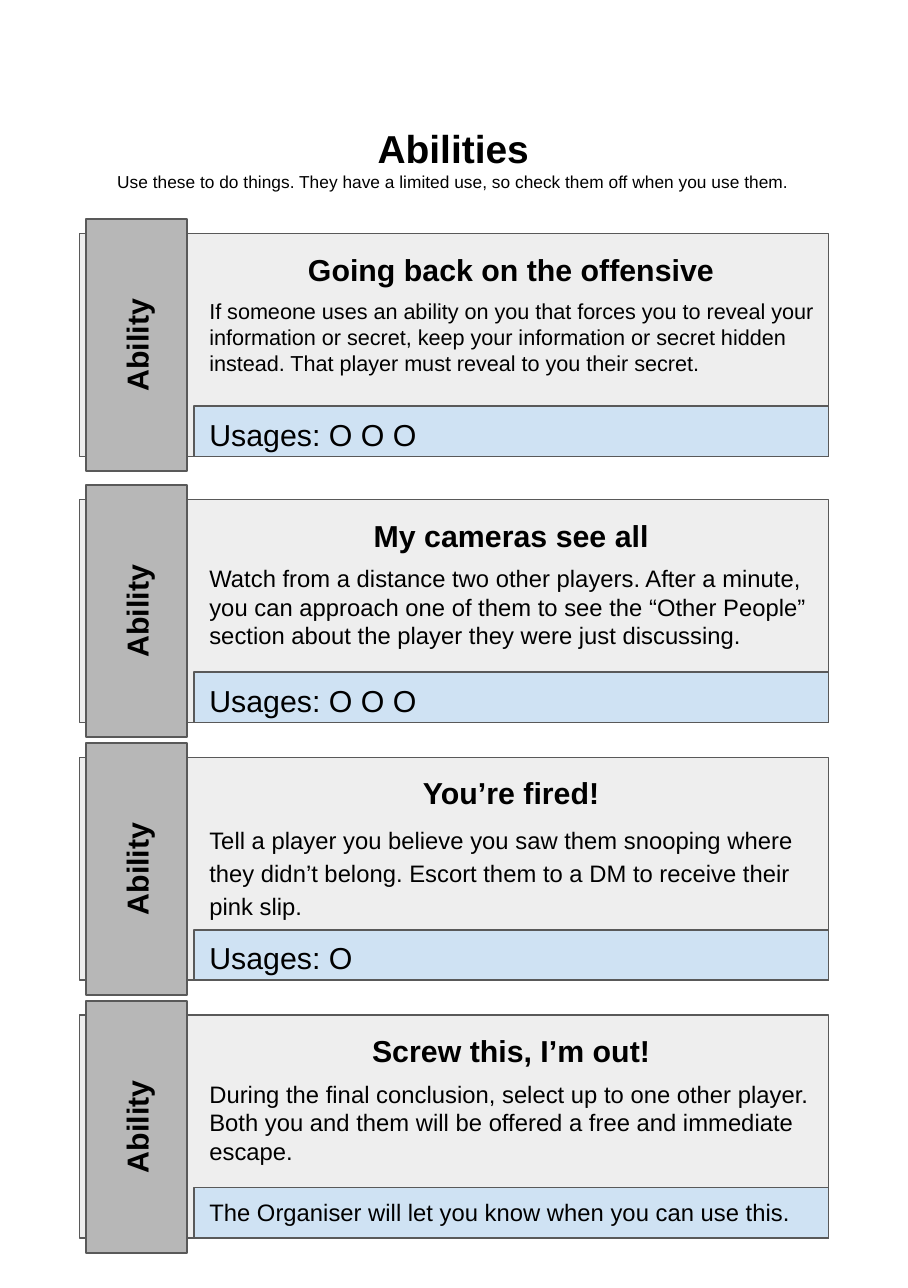
from collections import namedtuple

from pptx import Presentation
from pptx.dml.color import RGBColor
from pptx.enum.shapes import MSO_SHAPE
from pptx.enum.text import MSO_ANCHOR, MSO_AUTO_SIZE, PP_ALIGN
from pptx.util import Pt

BLACK = RGBColor(0x00, 0x00, 0x00)
OUTLINE = RGBColor(0x59, 0x59, 0x59)
CARD_FILL = RGBColor(0xEE, 0xEE, 0xEE)
TAB_FILL = RGBColor(0xB7, 0xB7, 0xB7)
USAGE_FILL = RGBColor(0xCF, 0xE2, 0xF3)
FONT = "Arial"
INSET = 7.2

Box = namedtuple("Box", "left top width height")
Ability = namedtuple(
    "Ability", "top heading body body_size usage usage_size spacing", defaults=(1.0,)
)

ABILITIES = [
    Ability(
        108,
        "Going back on the offensive",
        "If someone uses an ability on you that forces you to reveal your information "
        "or secret, keep your information or secret hidden instead. That player must "
        "reveal to you their secret.",
        10,
        "Usages: O O O",
        14,
    ),
    Ability(
        231,
        "My cameras see all",
        "Watch from a distance two other players. After a minute, you can approach one "
        "of them to see the “Other People” section about the player they were just "
        "discussing.",
        11,
        "Usages: O O O",
        14,
    ),
    Ability(
        350.2,
        "You’re fired!",
        "Tell a player you believe you saw them snooping where they didn’t belong. "
        "Escort them to a DM to receive their pink slip.",
        11,
        "Usages: O",
        14,
        1.15,
    ),
    Ability(
        469.4,
        "Screw this, I’m out!",
        "During the final conclusion, select up to one other player. Both you and them "
        "will be offered a free and immediate escape.",
        11,
        "The Organiser will let you know when you can use this.",
        11,
    ),
]


def prepare_frame(frame, anchor=MSO_ANCHOR.TOP):
    frame.word_wrap = True
    frame.auto_size = MSO_AUTO_SIZE.NONE
    frame.vertical_anchor = anchor
    frame.margin_left = frame.margin_right = Pt(INSET)
    frame.margin_top = frame.margin_bottom = Pt(INSET)


def write(paragraph, text, size, bold=False, align=PP_ALIGN.LEFT, spacing=1.0):
    paragraph.alignment = align
    paragraph.line_spacing = spacing
    run = paragraph.add_run()
    run.text = text
    run.font.name = FONT
    run.font.size = Pt(size)
    run.font.bold = bold
    run.font.color.rgb = BLACK


def add_panel(shapes, box, fill):
    shape = shapes.add_shape(MSO_SHAPE.RECTANGLE, *map(Pt, box))
    shape.shadow.inherit = False
    shape.fill.solid()
    shape.fill.fore_color.rgb = fill
    shape.line.color.rgb = OUTLINE
    shape.line.width = Pt(0.75)
    return shape


def add_text(shapes, box, text, size, **style):
    frame = shapes.add_textbox(*map(Pt, box)).text_frame
    prepare_frame(frame)
    write(frame.paragraphs[0], text, size, **style)


def add_header(slide, box):
    title = slide.shapes.title
    title.left, title.top, title.width, title.height = map(Pt, box)
    frame = title.text_frame
    prepare_frame(frame)
    write(frame.paragraphs[0], "Abilities", 18, bold=True, align=PP_ALIGN.CENTER)
    write(
        frame.add_paragraph(),
        "Use these to do things. They have a limited use, so check them off when you use them.",
        8,
        align=PP_ALIGN.CENTER,
    )


def add_tab(shapes, box):
    length, thickness = 116.6, 46.8
    center_left = box.left + 26.4
    center_top = box.top + box.height / 2
    tab_box = Box(center_left - length / 2, center_top - thickness / 2, length, thickness)
    tab = add_panel(shapes, tab_box, TAB_FILL)
    tab.rotation = 270
    prepare_frame(tab.text_frame, MSO_ANCHOR.MIDDLE)
    write(tab.text_frame.paragraphs[0], "Ability", 14, bold=True, align=PP_ALIGN.CENTER)


def add_card(slide, box, ability):
    shapes = slide.shapes.add_group_shape().shapes
    left = box.left + 53
    width = box.width - 53
    usage_height = 23.3
    usage_top = box.top + box.height - usage_height
    add_panel(shapes, box, CARD_FILL)
    add_tab(shapes, box)
    add_text(
        shapes,
        Box(left, box.top + 0.7, width, 30.2),
        ability.heading,
        14,
        bold=True,
        align=PP_ALIGN.CENTER,
    )
    add_text(
        shapes,
        Box(left, box.top + 22.5, width, 54),
        ability.body,
        ability.body_size,
        spacing=ability.spacing,
    )
    add_panel(shapes, Box(left, usage_top, width, usage_height), USAGE_FILL)
    add_text(
        shapes,
        Box(left, usage_top - 2.7, width - 6, 30.2),
        ability.usage,
        ability.usage_size,
    )


def main():
    presentation = Presentation()
    presentation.slide_width = Pt(419.76)
    presentation.slide_height = Pt(595.44)
    slide = presentation.slides.add_slide(presentation.slide_layouts[5])
    add_header(slide, Box(16.6, 50.4, 385.9, 65.5))
    for ability in ABILITIES:
        add_card(slide, Box(36.7, ability.top, 346.3, 103), ability)
    presentation.save("out.pptx")


if __name__ == "__main__":
    main()
